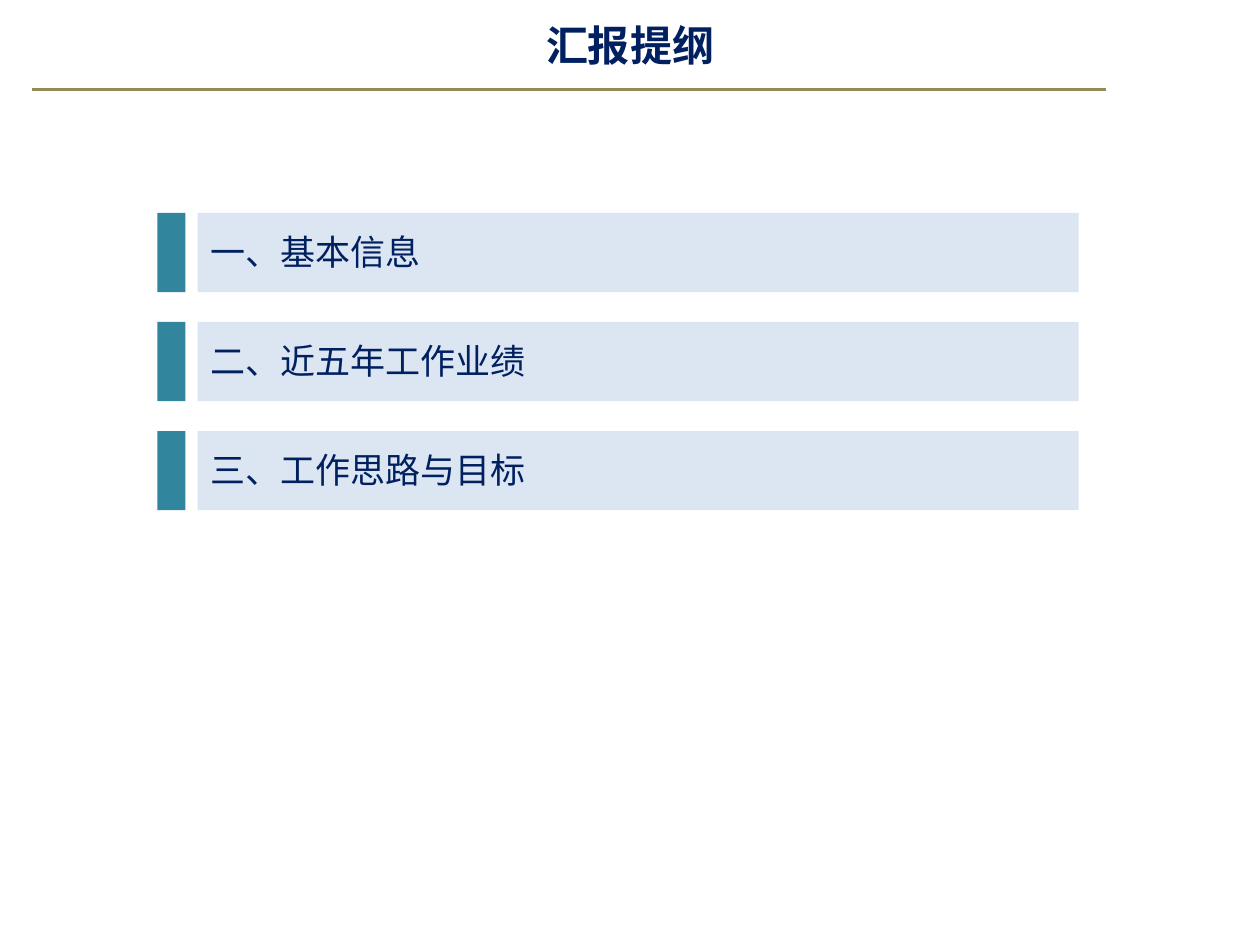
from lxml.etree import SubElement
from pptx import Presentation
from pptx.dml.color import RGBColor
from pptx.enum.shapes import MSO_CONNECTOR, MSO_SHAPE
from pptx.enum.text import MSO_ANCHOR, MSO_AUTO_SIZE, PP_ALIGN
from pptx.oxml.ns import qn
from pptx.util import Pt

FONT = "Noto Sans CJK SC"
NAVY, TEAL, PALE_BLUE, OLIVE = "002060", "31859C", "DCE6F2", "948A54"


def color(value):
    return RGBColor.from_string(value)


def add_span(para, text, size, bold=False):
    span = para.add_run()
    span.text = text
    span.font.name = FONT
    span.font.size = Pt(size)
    span.font.bold = bold
    span.font.color.rgb = color(NAVY)
    SubElement(span.font._element, qn("a:ea"), typeface=FONT)


deck = Presentation()
deck.slide_width, deck.slide_height = Pt(720), Pt(540)
page = deck.slides.add_slide(deck.slide_layouts[5])

# Rule below the title
rule = page.shapes.add_connector(
    MSO_CONNECTOR.STRAIGHT, Pt(18), Pt(51), Pt(632), Pt(51))
rule.line.color.rgb = color(OLIVE)
rule.line.width = Pt(1.5)
SubElement(rule._element.spPr, qn("a:effectLst"))

# Title
title = page.shapes.title
title.left, title.top, title.width, title.height = Pt(20), Pt(3), Pt(680), Pt(45)
title.text_frame.vertical_anchor = MSO_ANCHOR.MIDDLE
title_para = title.text_frame.paragraphs[0]
title_para.alignment = PP_ALIGN.CENTER
add_span(title_para, "汇报提纲", 24, bold=True)

# Agenda rows: marker, bar and label grouped together
row_top, row_pitch, row_height = 121.7, 62.3, 45.2
agenda = ["一、基本信息", "二、近五年工作业绩", "三、工作思路与目标"]
for index, entry in enumerate(agenda):
    top = row_top + index * row_pitch
    row = page.shapes.add_group_shape()
    for left, width, fill in [(90, 16, TEAL), (113, 503.5, PALE_BLUE)]:
        bar = row.shapes.add_shape(
            MSO_SHAPE.RECTANGLE, Pt(left), Pt(top), Pt(width), Pt(row_height))
        bar.shadow.inherit = False
        bar.fill.solid()
        bar.fill.fore_color.rgb = color(fill)
        bar.line.fill.background()

    box = row.shapes.add_textbox(Pt(113), Pt(top + 6.5), Pt(456), Pt(31.5))
    box.text_frame.word_wrap = True
    box.text_frame.auto_size = MSO_AUTO_SIZE.SHAPE_TO_FIT_TEXT
    add_span(box.text_frame.paragraphs[0], entry, 20)

deck.save("out.pptx")
